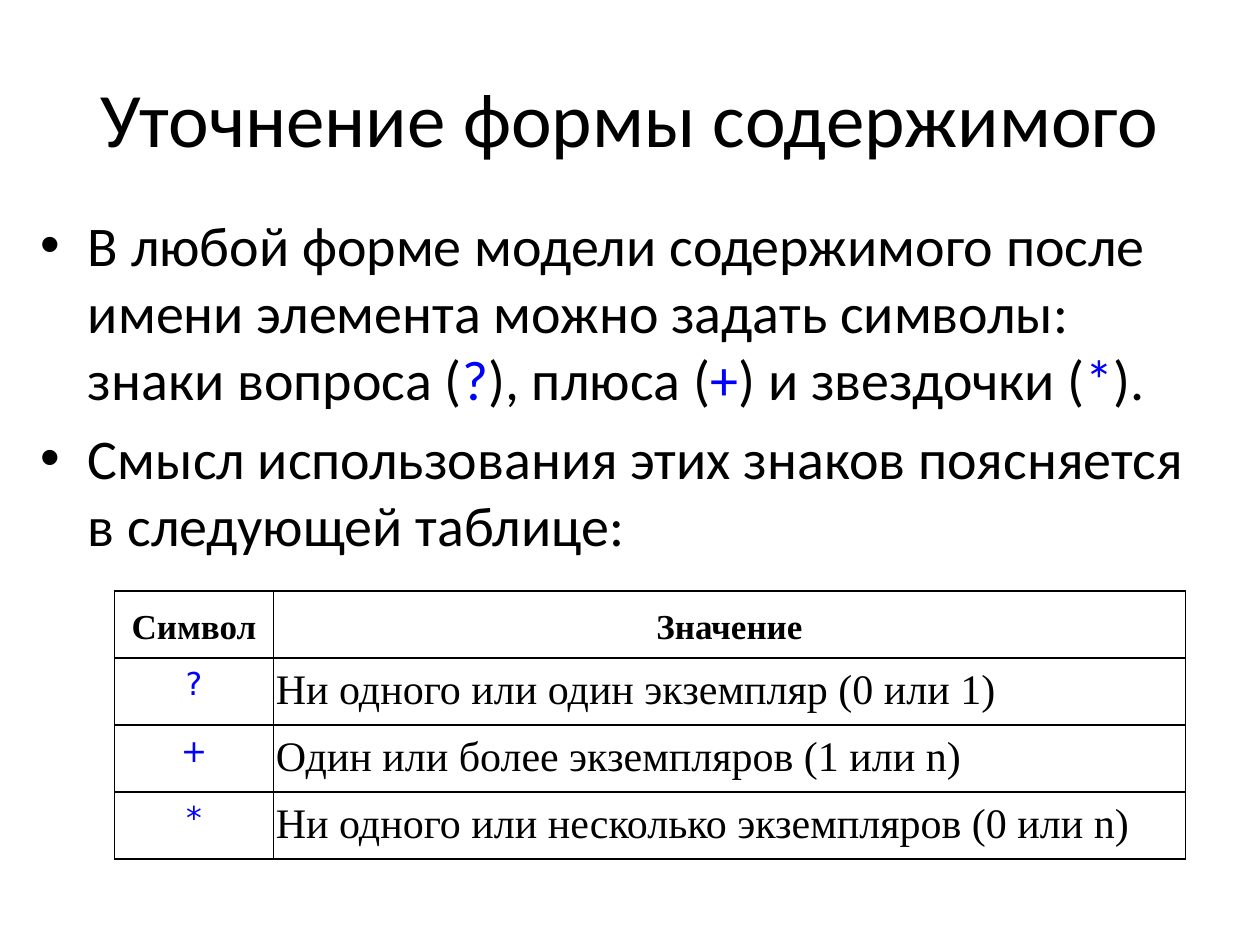
"""Build a slide on content model symbols with a title, two bullets and a table."""
from dataclasses import dataclass

from lxml import etree
from pptx import Presentation
from pptx import util as u
from pptx.dml import color
from pptx.enum import text
from pptx.oxml import ns


@dataclass(frozen=True)
class Theme:
    ink: str = "000000"
    accent: str = "0000FF"
    sans: str = "Calibri"
    serif: str = "Times New Roman"
    symbol: str = "DejaVu Sans"
    title: int = 44
    body: int = 32
    meaning: int = 24
    header: int = 20
    sign: int = 18


theme = Theme()


def add_span(para, words, font, size, ink=theme.ink, bold=False):
    span = para.add_run()
    span.text = words
    span.font.name = font
    span.font.size = u.Pt(size)
    span.font.bold = bold
    span.font.color.rgb = color.RGBColor.from_string(ink)


def add_borders(cell):
    properties = cell._tc.get_or_add_tcPr()
    for position, side in enumerate(("lnL", "lnR", "lnT", "lnB")):
        line = etree.Element(ns.qn(f"a:{side}"), w=str(u.Pt(1)))
        fill = etree.SubElement(line, ns.qn("a:solidFill"))
        etree.SubElement(fill, ns.qn("a:srgbClr"), val=theme.ink)
        properties.insert(position, line)


deck = Presentation()
deck.slide_width, deck.slide_height = u.Inches(10), u.Inches(7.5)
page = deck.slides.add_slide(deck.slide_layouts[6])

title_box = page.shapes.add_textbox(u.Inches(0.5), u.Inches(0.3), u.Inches(9), u.Inches(1.25))
title_box.text_frame.word_wrap = True
title_box.text_frame.vertical_anchor = text.MSO_ANCHOR.MIDDLE
para = title_box.text_frame.paragraphs[0]
para.alignment = text.PP_ALIGN.CENTER
add_span(para, "Уточнение формы содержимого", theme.sans, theme.title)

bullets = [
    [
        ("В любой форме модели содержимого после имени элемента можно задать "
         "символы: знаки вопроса (", theme.ink),
        ("?", theme.accent),
        ("), плюса (", theme.ink),
        ("+", theme.accent),
        (") и звездочки (", theme.ink),
        ("*", theme.accent),
        (").", theme.ink),
    ],
    [("Смысл использования этих знаков поясняется в следующей таблице:", theme.ink)],
]
body_box = page.shapes.add_textbox(u.Inches(0.22), u.Inches(1.62), u.Inches(9.5), u.Inches(5.75))
frame = body_box.text_frame
frame.word_wrap = True
for index, spans in enumerate(bullets):
    para = frame.add_paragraph() if index else frame.paragraphs[0]
    para.space_before = u.Pt(theme.body * 0.2)
    properties = para._p.get_or_add_pPr()
    properties.set("marL", str(u.Inches(0.38)))
    properties.set("indent", str(u.Inches(-0.38)))
    etree.SubElement(properties, ns.qn("a:buFont"), typeface="Arial")
    etree.SubElement(properties, ns.qn("a:buChar"), char="•")
    for words, ink in spans:
        add_span(para, words, theme.sans, theme.body, ink)

rows = [
    ("Символ", "Значение"),
    ("?", "Ни одного или один экземпляр (0 или 1)"),
    ("+", "Один или более экземпляров (1 или n)"),
    ("*", "Ни одного или несколько экземпляров (0 или n)"),
]
header_style = (theme.serif, theme.header, theme.ink, True)
column_styles = [
    (theme.symbol, theme.sign, theme.accent),
    (theme.serif, theme.meaning, theme.ink),
]
column_alignments = [text.PP_ALIGN.CENTER, text.PP_ALIGN.JUSTIFY]
table = page.shapes.add_table(
    len(rows), 2, u.Inches(0.91), u.Inches(4.69), u.Inches(8.5), u.Inches(2.13)
).table
for column, width in zip(table.columns, (1.26, 7.24)):
    column.width = u.Inches(width)

for row_index, row in enumerate(rows):
    is_header = row_index == 0
    for column_index, words in enumerate(row):
        cell = table.cell(row_index, column_index)
        cell.fill.background()
        add_borders(cell)
        cell.margin_left = cell.margin_right = u.Inches(0.02)
        cell.margin_top = cell.margin_bottom = u.Inches(0.02)
        cell.vertical_anchor = text.MSO_ANCHOR.MIDDLE if is_header else text.MSO_ANCHOR.TOP
        para = cell.text_frame.paragraphs[0]
        para.line_spacing = 1.15
        para.alignment = text.PP_ALIGN.CENTER if is_header else column_alignments[column_index]
        add_span(para, words, *(header_style if is_header else column_styles[column_index]))

deck.save("out.pptx")
